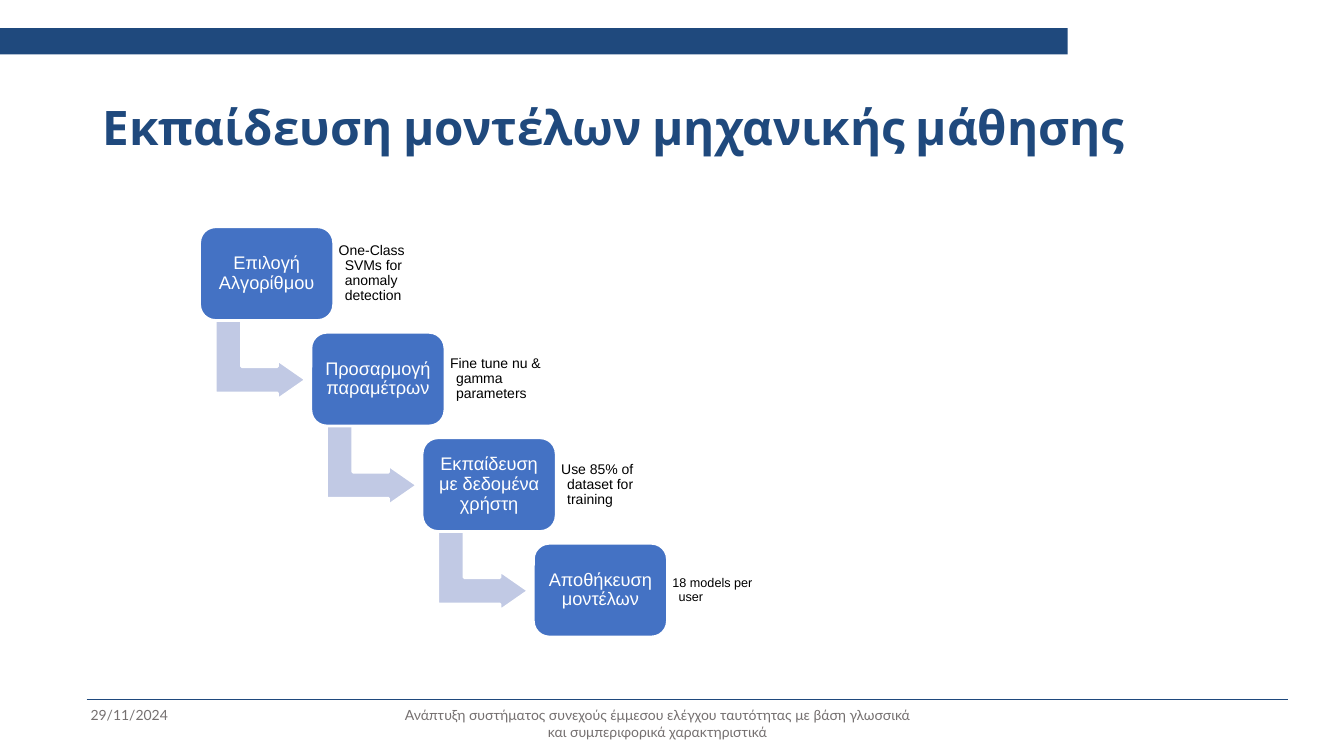
import pptx
import pptx.dml.color
import pptx.enum.shapes
import pptx.enum.text
import pptx.oxml.ns
import pptx.util
from pptx.util import Inches

COLORS = {
    "navy": "1F497D",
    "blue": "4472C4",
    "pale": "C1C9E4",
    "gray": "757070",
    "white": "FFFFFF",
    "black": "000000",
}
SHAPES = pptx.enum.shapes.MSO_SHAPE
ALIGN = pptx.enum.text.PP_ALIGN
ANCHOR = pptx.enum.text.MSO_ANCHOR


def color(name):
    return pptx.dml.color.RGBColor.from_string(COLORS[name])


class SlideBuilder:
    """Holds the style and the current slide."""

    def __init__(self, deck):
        self.slide = deck.slides.add_slide(deck.slide_layouts[5])

    def add_words(self, box, text, size, font, ink, align=ALIGN.LEFT, bold=False,
                  anchor=ANCHOR.MIDDLE, spacing=0.9, inset=0.05, hanging=0):
        frame = box.text_frame
        frame.word_wrap = True
        frame.auto_size = pptx.enum.text.MSO_AUTO_SIZE.NONE
        frame.vertical_anchor = anchor
        frame.margin_left = frame.margin_right = Inches(inset)
        frame.margin_top = frame.margin_bottom = Inches(0.05)
        para = frame.paragraphs[0]
        para.alignment = align
        para.line_spacing = spacing
        if hanging:
            properties = para._p.get_or_add_pPr()
            properties.set("marL", str(Inches(hanging)))
            properties.set("indent", str(-Inches(hanging)))
        span = para.add_run()
        span.text = text
        span.font.size = pptx.util.Pt(size)
        span.font.name = font
        span.font.bold = bold
        span.font.color.rgb = color(ink)

    def title(self, text, left, top, width, height):
        box = self.slide.shapes.title
        box.left, box.top = Inches(left), Inches(top)
        box.width, box.height = Inches(width), Inches(height)
        self.add_words(box, text, 34, "Cabin", "navy", bold=True, inset=0.1)

    def text(self, text, left, top, width, height, **style):
        box = self.slide.shapes.add_textbox(
            Inches(left), Inches(top), Inches(width), Inches(height))
        self.add_words(box, text, **style)

    def shape(self, kind, left, top, width, height, fill, outline=None, adjust=()):
        box = self.slide.shapes.add_shape(
            kind, Inches(left), Inches(top), Inches(width), Inches(height))
        box.shadow.inherit = False
        box.fill.solid()
        box.fill.fore_color.rgb = color(fill)
        if outline:
            box.line.color.rgb = color(outline)
            box.line.width = pptx.util.Pt(2)
        else:
            box.line.fill.background()
        for index, value in enumerate(adjust):
            box.adjustments[index] = value
        return box

    def rule(self, left, right, top):
        line = self.slide.shapes.add_connector(
            pptx.enum.shapes.MSO_CONNECTOR.STRAIGHT,
            Inches(left), Inches(top), Inches(right), Inches(top))
        line.line.color.rgb = color("navy")
        line.line.width = pptx.util.Pt(1.25)
        properties = line._element.spPr
        properties.append(properties.makeelement(pptx.oxml.ns.qn("a:effectLst"), {}))

    def step(self, left, top, label, note, note_width, note_size, has_next):
        if has_next:
            arrow = self.shape(SHAPES.BENT_UP_ARROW, left + 0.21, top + 0.87, 0.79, 0.9,
                               "pale", "white", (0.33, 0.25, 0.36))
            arrow.rotation = 90
        box = self.shape(SHAPES.ROUNDED_RECTANGLE, left, top, 1.33, 0.93,
                         "blue", "white", (0.17,))
        self.add_words(box, label, 13, "Arial", "white", ALIGN.CENTER)
        self.text(note, left + 1.33, top + 0.09, note_width, 0.75,
                  size=note_size, font="Arial", ink="black", hanging=0.06)


def main():
    deck = pptx.Presentation()
    deck.slide_width, deck.slide_height = Inches(13.33), Inches(7.5)
    page = SlideBuilder(deck)

    # Footer and top bar
    page.rule(0.86, 12.77, 6.94)
    footer = dict(size=10, font="Lato", ink="gray", anchor=ANCHOR.TOP,
                  spacing=1.0, inset=0.1)
    page.text("Ανάπτυξη συστήματος συνεχούς έμμεσου ελέγχου ταυτότητας με βάση "
              "γλωσσικά και συμπεριφορικά χαρακτηριστικά",
              3.89, 6.96, 5.26, 0.26, align=ALIGN.CENTER, **footer)
    page.text("29/11/2024", 0.8, 6.96, 1.22, 0.29, **footer)
    page.shape(SHAPES.RECTANGLE, 0, 0.28, 10.59, 0.26, "navy")

    # Title
    page.title("Εκπαίδευση μοντέλων μηχανικής μάθησης", 0.92, 0.74, 11.5, 1.1)

    # Staircase of steps: label, note, note width, note size
    steps = [
        ("Επιλογή Αλγορίθμου", "One-Class SVMs for anomaly detection", 0.97, 10),
        ("Προσαρμογή παραμέτρων", "Fine tune nu & gamma parameters", 1.35, 10),
        ("Εκπαίδευση με δεδομένα χρήστη", "Use 85% of dataset for training", 0.97, 10),
        ("Αποθήκευση μοντέλων", "18 models per user", 0.97, 9),
    ]
    last = len(steps) - 1
    across, down = (5.29 - 1.98) / last, (5.39 - 2.25) / last
    for index, details in enumerate(steps):
        page.step(1.98 + index * across, 2.25 + index * down, *details,
                  has_next=index < last)

    deck.save("out.pptx")


if __name__ == "__main__":
    main()
